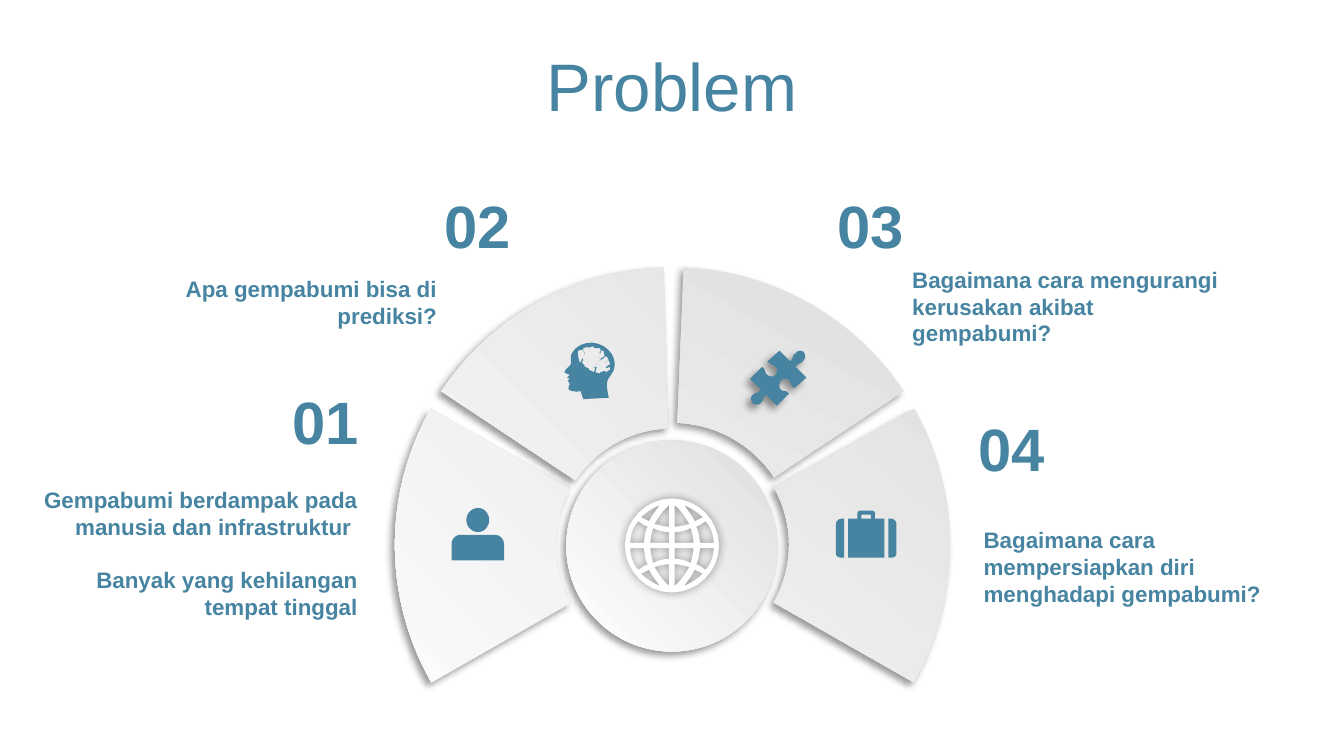
from typing import NamedTuple, Optional

from lxml import etree
from pptx import Presentation
from pptx.dml.color import RGBColor
from pptx.enum.shapes import MSO_SHAPE as Shape
from pptx.enum.text import MSO_ANCHOR as Anchor, MSO_AUTO_SIZE as AutoSize, PP_ALIGN as Align
from pptx.oxml.ns import qn
from pptx.util import Cm, Pt

TEAL, WHITE, SILVER = "4784A1", "FFFFFF", "DEDEDE"
UNIT = Cm(2.54) // 100  # icon grid: hundredths of an inch
Point = tuple[float, float]


class Shadow(NamedTuple):
    blur: float
    distance: float
    direction: int


class Segment(NamedTuple):
    start: float
    end: float
    thickness: float
    gradient: int
    flipped: bool = False


class Label(NamedTuple):
    x: float
    y: float
    w: float
    h: float
    paragraphs: list[str]
    size: int = 12
    bold: bool = True
    align: Align = Align.LEFT
    wrap: bool = True


class Icon(NamedTuple):
    x: int
    y: int
    contours: list[list[Point]]
    fill: str = TEAL
    shadow: Optional[Shadow] = None


def contours(outline: str) -> list[list[Point]]:
    """Flatten M, L, C and Z commands into closed point lists."""
    result, tokens = [], iter(outline.split())

    def point() -> Point:
        return float(next(tokens)), float(next(tokens))

    for command in tokens:
        if command == "M":
            result.append([point()])
        elif command == "L":
            result[-1].append(point())
        elif command == "C":
            a, (b, c, d) = result[-1][-1], (point(), point(), point())
            for t in (i / 8 for i in range(1, 9)):
                u = 1 - t
                weights = (u**3, 3 * u * u * t, 3 * u * t * t, t**3)
                result[-1].append(tuple(sum(w * q[axis] for w, q in zip(weights, (a, b, c, d)))
                                        for axis in (0, 1)))
    return result


def mirrored(quadrant: list[list[Point]]) -> list[list[Point]]:
    """Repeat a quadrant on all four sides of the origin."""
    return [[(x * sx, y * sy) for x, y in c] for sx in (1, -1) for sy in (1, -1) for c in quadrant]


def color(value: str) -> RGBColor:
    return RGBColor.from_string(value)


def finish(sp, shadow: Optional[Shadow]) -> None:
    """Drop the outline and set the shadow."""
    sp.line.fill.background()
    sp.shadow.inherit = False
    if shadow:
        effects = sp._element.spPr.find(qn("a:effectLst"))
        outer = etree.SubElement(effects, qn("a:outerShdw"), blurRad=str(Pt(shadow.blur)),
                                 dist=str(Pt(shadow.distance)), dir=str(shadow.direction * 60000),
                                 algn="ctr", rotWithShape="0")
        black = etree.SubElement(outer, qn("a:srgbClr"), val="000000")
        etree.SubElement(black, qn("a:alpha"), val="40000")


def add_disc(s, kind: Shape, cx: float, cy: float, size: float, gradient: int):
    sp = s.shapes.add_shape(kind, Cm(cx - size / 2), Cm(cy - size / 2), Cm(size), Cm(size))
    sp.fill.gradient()
    sp.fill.gradient_angle = 360 - gradient
    for stop, shade in zip(sp.fill.gradient_stops, (SILVER, WHITE)):
        stop.color.rgb = color(shade)
    finish(sp, SOFT)
    return sp


def add_segment(s, seg: Segment) -> None:
    sp = add_disc(s, Shape.BLOCK_ARC, 12.71, 10.3, 10.49, seg.gradient)
    for i, value in enumerate((seg.start, seg.end, seg.thickness)):
        sp.adjustments[i] = value
    if seg.flipped:
        sp._element.spPr.xfrm.set("flipH", "1")


def add_icon(s, icon: Icon) -> None:
    builder = None
    for contour in icon.contours:
        first, *rest = [((icon.x + x) * UNIT, (icon.y + y) * UNIT) for x, y in contour]
        if builder is None:
            builder = s.shapes.build_freeform(*first, scale=1.0)
        else:
            builder.move_to(*first)
        builder.add_line_segments(rest, close=True)
    sp = builder.convert_to_shape()
    sp.fill.solid()
    sp.fill.fore_color.rgb = color(icon.fill)
    finish(sp, icon.shadow)


def add_label(s, label: Label, anchor: Anchor = Anchor.TOP) -> None:
    tf = s.shapes.add_textbox(Cm(label.x), Cm(label.y), Cm(label.w), Cm(label.h)).text_frame
    tf.word_wrap = label.wrap
    tf.auto_size = AutoSize.NONE if anchor == Anchor.MIDDLE else AutoSize.SHAPE_TO_FIT_TEXT
    tf.vertical_anchor = anchor
    for i, text in enumerate(label.paragraphs):
        p = tf.add_paragraph() if i else tf.paragraphs[0]
        p.text = text
        p.alignment = label.align
        p.space_before = Pt(14 if i else 0)
        p.font.name, p.font.size, p.font.bold = "Arial", Pt(label.size), label.bold
        p.font.color.rgb = color(TEAL)


SOFT = Shadow(4, 3, 135)
SEGMENTS = [
    Segment(90.19, 125.64, 0.29, 135),
    Segment(128.17, 160.88, 0.29, 135),
    Segment(90.19, 125.64, 0.29, 50, True),
    Segment(128.17, 160.6, 0.28, 60, True),
]
TITLE = Label(0, 0.81, 25.4, 1.6, ["Problem"], 36, False, Align.CENTER)
LABELS = [
    Label(0.56, 9.07, 6.45, 3.33, ["Gempabumi berdampak pada manusia dan infrastruktur ",
                                   "Banyak yang kehilangan tempat tinggal"], align=Align.RIGHT),
    Label(18.34, 9.83, 6.45, 1.8, ["Bagaimana cara mempersiapkan diri menghadapi gempabumi?"]),
    Label(2.06, 5.08, 6.45, 1.27, ["Apa gempabumi bisa di prediksi?"], align=Align.RIGHT),
    Label(16.99, 4.9, 6.45, 1.27, ["Bagaimana cara mengurangi kerusakan akibat gempabumi?"]),
]
NUMBER_PLACES = [(5.28, 7.14), (8.15, 3.45), (15.57, 3.45), (18.24, 7.65)]

GLOBE_RIM = ("M 35 0 C 35 19 19 35 0 35 C -19 35 -35 19 -35 0 "
             "C -35 -19 -19 -35 0 -35 C 19 -35 35 -19 35 0 Z")
GLOBE_QUADRANT = ("M 2 2 L 2 10 C 6 10 10 11 14 13 C 15 9 16 6 16 2 Z "
                  "M 21 2 C 20 7 20 11 18 14 C 21 15 23 17 25 18 C 29 14 31 8 31 2 Z "
                  "M 2 14 L 2 30 C 7 26 10 21 13 16 C 9 15 6 14 2 14 Z "
                  "M 17 18 C 15 22 12 26 9 30 C 14 28 19 25 23 21 C 21 20 19 19 17 18 Z")
PUZZLE = ("M 40 1 C 41 3 42 5 40 7 C 38 10 36 9 34 12 L 42 20 L 33 28 C 30 26 31 24 29 22 "
          "C 27 20 25 21 23 22 C 22 24 21 27 23 29 C 26 31 27 29 29 32 L 20 41 L 12 33 "
          "C 9 35 11 36 8 39 C 6 41 3 40 2 39 C 1 38 0 35 2 33 C 4 31 6 32 8 29 L 0 21 L 9 12 "
          "C 12 14 11 17 13 18 C 15 20 18 19 19 18 C 20 17 21 14 19 12 C 17 10 16 11 13 8 "
          "L 22 0 L 30 8 C 33 5 31 4 34 2 C 36 -1 39 0 40 1 Z")
PERSON = ("M 7 20 L 32 20 C 36 20 39 23 39 27 L 39 39 L 0 39 L 0 27 C 0 23 3 20 7 20 Z "
          "M 20 0 C 24 0 28 4 28 9 C 28 14 24 18 20 18 C 15 18 11 14 11 9 C 11 4 15 0 20 0 Z")
HEAD = ("M 21 0 C 33 1 43 14 34 25 C 31 28 31 32 33 41 L 14 42 L 12 36 C 9 37 5 36 3 35 "
        "C 3 34 3 32 4 31 C 4 30 3 30 3 29 C 2 28 3 28 4 27 L 2 26 C 2 26 3 25 4 24 "
        "C 2 23 1 23 0 22 C 0 21 2 19 4 17 C 6 15 4 13 5 9 C 8 3 13 0 21 0 Z")
BRAIN = [(20, 3), (18, 4), (18, 3), (14, 4), (14, 5), (15, 8), (15, 9), (14, 5), (10, 6), (10, 9),
         (11, 14), (12, 15), (13, 12), (14, 12), (13, 15), (15, 17), (15, 18), (18, 19), (18, 20),
         (22, 22), (23, 18), (21, 19), (24, 18), (24, 15), (24, 18), (23, 22), (26, 23), (27, 22),
         (30, 21), (31, 22), (34, 20), (34, 18), (31, 19), (31, 18), (34, 16), (33, 13), (30, 15),
         (33, 13), (32, 11), (31, 10), (27, 13), (25, 14), (27, 13), (27, 12), (25, 11), (27, 12),
         (30, 10), (29, 6), (27, 6), (27, 8), (26, 8), (27, 5), (26, 4), (22, 4), (22, 3)]
SUITCASE = ("M 39 6 L 41 6 C 43 6 45 8 45 10 L 45 32 C 45 34 43 35 41 35 L 39 35 Z "
            "M 4 6 L 6 6 L 6 35 L 4 35 C 2 35 0 34 0 32 L 0 10 C 0 8 2 6 4 6 Z "
            "M 20 3 C 19 3 19 3 19 4 L 19 6 L 26 6 L 26 4 C 26 3 26 3 25 3 Z "
            "M 18 0 L 27 0 C 28 0 29 1 29 2 L 29 6 L 36 6 L 36 35 L 9 35 L 9 6 L 16 6 L 16 2 "
            "C 16 1 17 0 18 0 Z")
CENTRE_ICONS = [
    Icon(500, 406, contours(GLOBE_RIM) + mirrored(contours(GLOBE_QUADRANT)), WHITE, Shadow(5, 0, 0)),
    Icon(558, 261, contours(PUZZLE), shadow=SOFT),
]
FLAT_ICONS = [
    Icon(336, 378, contours(PERSON)),
    Icon(420, 255, contours(HEAD) + [BRAIN]),
    Icon(622, 380, contours(SUITCASE)),
]

prs = Presentation()
prs.slide_width, prs.slide_height = Cm(25.4), Cm(14.29)
s = prs.slides.add_slide(prs.slide_layouts[6])
for segment in SEGMENTS:
    add_segment(s, segment)
add_label(s, TITLE, Anchor.MIDDLE)
add_disc(s, Shape.OVAL, 12.7, 10.32, 3.99, 135)
for icon in CENTRE_ICONS:
    add_icon(s, icon)
for label in LABELS:
    add_label(s, label)
for number, (x, y) in enumerate(NUMBER_PLACES, 1):
    add_label(s, Label(x, y, 1.78, 1.63, [f"{number:02}"], 32, wrap=False))
for icon in FLAT_ICONS:
    add_icon(s, icon)
prs.save("out.pptx")
